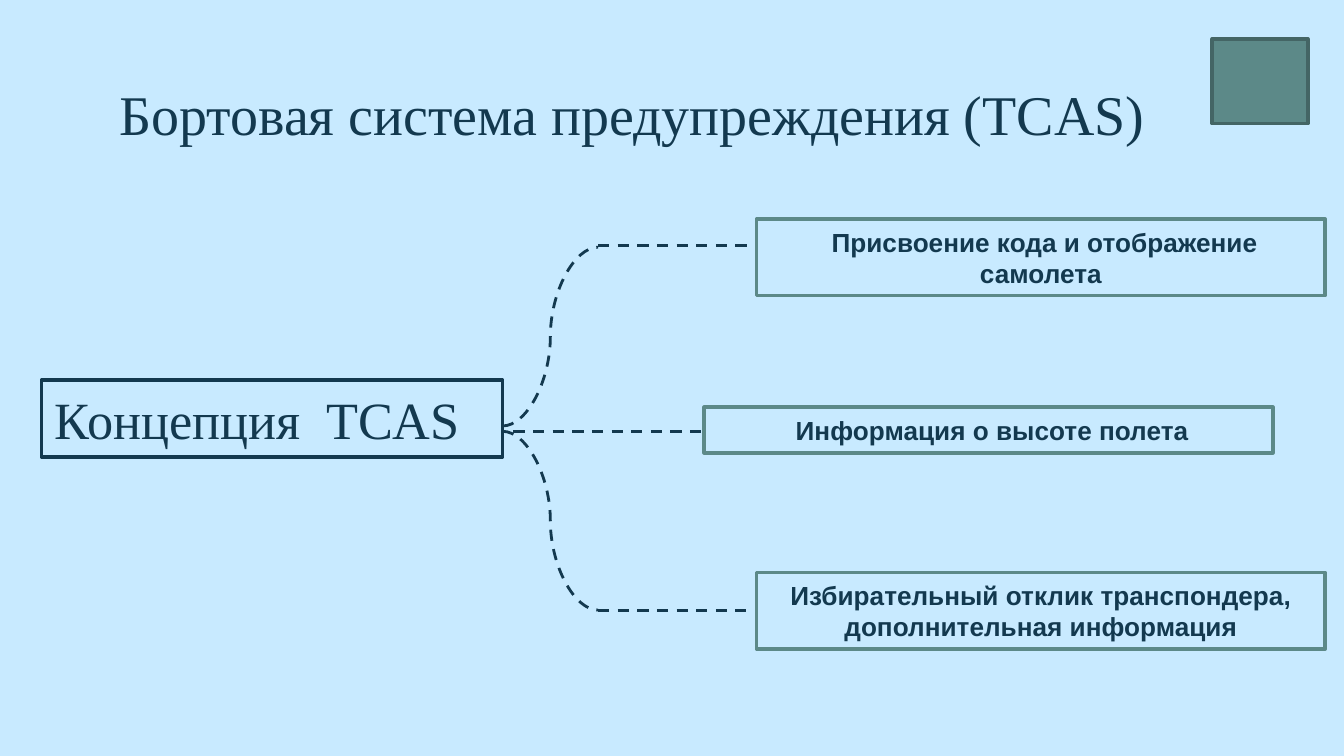
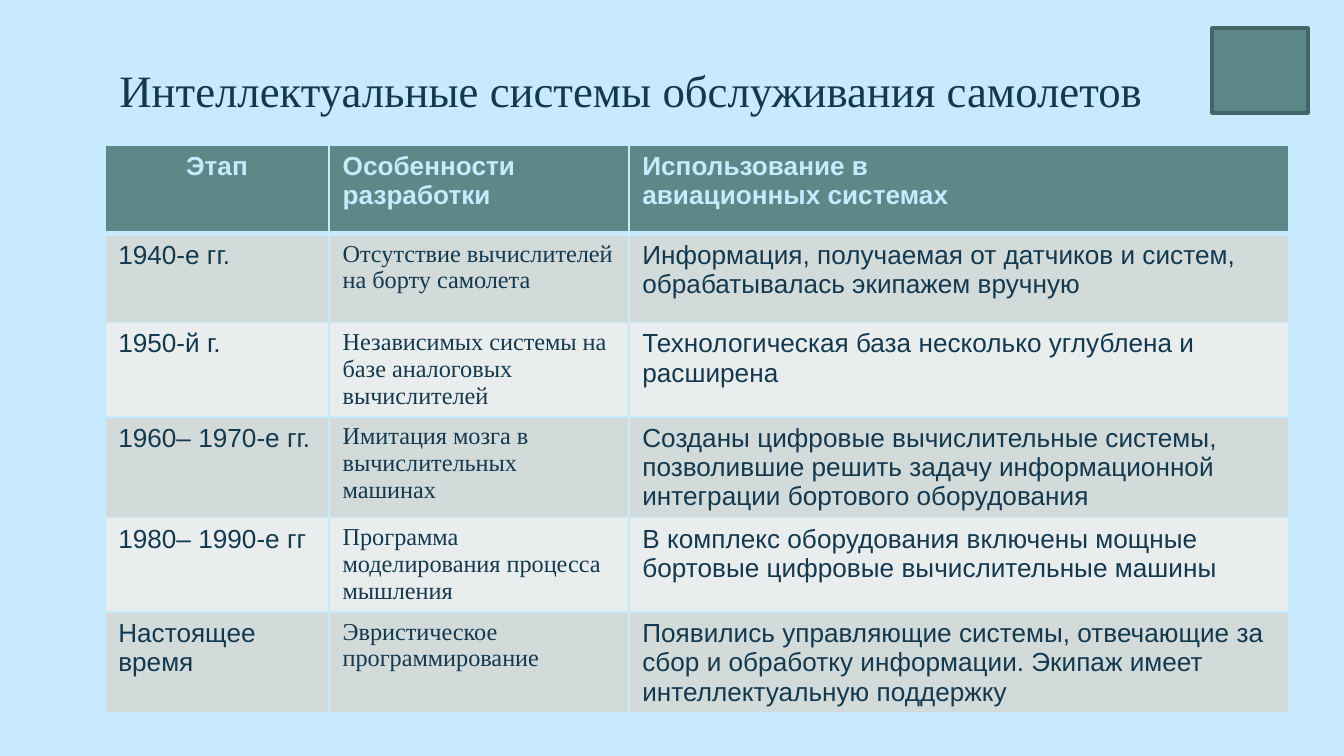
from lxml.etree import SubElement
from pptx import Presentation
from pptx.dml.color import RGBColor
from pptx.enum.dml import MSO_LINE
from pptx.enum.shapes import MSO_CONNECTOR, MSO_SHAPE
from pptx.enum.text import MSO_ANCHOR, PP_ALIGN
from pptx.oxml.ns import qn
from pptx.util import Inches, Pt

SKY = RGBColor(0xC8, 0xEA, 0xFF)
NAVY = RGBColor(0x13, 0x39, 0x4F)
TEAL = RGBColor(0x5C, 0x89, 0x88)
DARK_TEAL = RGBColor(0x44, 0x65, 0x65)
BANDS = [RGBColor(0xD2, 0xDA, 0xDA), RGBColor(0xEA, 0xED, 0xED)]
SERIF, SANS = "Times New Roman", "Arial"

# Slide 1: concept, its three functions and the dashed links
TCAS_TITLE = "Бортовая система предупреждения (TCAS)"
CONCEPT = "Концепция  TCAS"
FUNCTIONS = [  # left, top, height, runs as (text, bold)
    (5.63, 1.63, 0.57, [(" Присвоение кода и отображение самолета", True)]),
    (5.24, 3.03, 0.34, [(" ", False), ("Информация о высоте полета", True)]),
    (5.63, 4.26, 0.57, [("Избирательный отклик транспондера, "
                         "дополнительная информация", True)]),
]
LINKS = [  # from x, from y, to x, to y
    (3.74, 3.17, 4.45, 1.84),
    (3.74, 3.21, 4.45, 4.54),
    (4.45, 1.83, 5.63, 1.83),
    (3.82, 3.21, 5.24, 3.21),
    (4.45, 4.54, 5.55, 4.54),
]

# Slide 2: stages of development
STAGES_TITLE = "Интеллектуальные системы обслуживания самолетов"
HEADINGS = ("Этап", "Особенности разработки", "Использование в\nавиационных системах")
STAGES = [
    ("1940-е гг.", "Отсутствие вычислителей на борту самолета",
     "Информация, получаемая от датчиков и систем, обрабатывалась экипажем вручную"),
    ("1950-й г.", "Независимых системы на базе аналоговых вычислителей",
     "Технологическая база несколько углублена и расширена"),
    ("1960– 1970-е гг.", "Имитация мозга в вычислительных машинах",
     "Созданы цифровые вычислительные системы, позволившие решить задачу "
     "информационной интеграции бортового оборудования"),
    ("1980– 1990-е гг", "Программа моделирования процесса мышления",
     "В комплекс оборудования включены мощные бортовые цифровые вычислительные машины"),
    ("Настоящее время", "Эвристическое программирование",
     "Появились управляющие системы, отвечающие за сбор и обработку информации. "
     "Экипаж имеет интеллектуальную поддержку"),
]
COLUMN_WIDTHS = (1.67, 2.23, 4.91)
COLUMN_FONTS = ((SANS, 14), (SERIF, 13), (SANS, 14))
ROW_HEIGHT = 0.66


def add_run(paragraph, text, font, size, color=NAVY, bold=False):
    run = paragraph.add_run()
    run.text = text
    run.font.name, run.font.size = font, Pt(size)
    run.font.bold, run.font.color.rgb = bold, color


def add_box(slide, preset, place, fill, outline):
    box = slide.shapes.add_shape(preset, *map(Inches, place))
    box.shadow.inherit = False
    box.fill.solid()
    box.fill.fore_color.rgb = fill
    box.line.color.rgb, box.line.width = outline, Pt(2)
    box.text_frame.word_wrap = True
    return box


def start_slide(deck, title, size, title_top):
    slide = deck.slides.add_slide(deck.slide_layouts[6])
    slide.background.fill.solid()
    slide.background.fill.fore_color.rgb = SKY
    frame = slide.shapes.add_textbox(
        Inches(0.79), Inches(title_top), Inches(8.43), Inches(0.63)).text_frame
    frame.word_wrap = True
    frame.vertical_anchor = MSO_ANCHOR.TOP
    frame.margin_left = frame.margin_right = Inches(0.1)
    frame.margin_top = frame.margin_bottom = Inches(0.1)
    add_run(frame.paragraphs[0], title, SERIF, size)
    return slide


def add_button(slide, top):
    add_box(slide, MSO_SHAPE.ACTION_BUTTON_CUSTOM, (9.02, top, 0.71, 0.63), TEAL, DARK_TEAL)


def add_link(slide, ends):
    link = slide.shapes.add_connector(MSO_CONNECTOR.CURVE, *map(Inches, ends))
    link.line.color.rgb, link.line.width = NAVY, Pt(1.5)
    link.line.dash_style = MSO_LINE.DASH
    SubElement(link._element.spPr, qn("a:effectLst"))


def set_borders(cell, top, bottom):
    properties = cell._tc.get_or_add_tcPr()
    for side, width in (("L", 1), ("R", 1), ("T", top), ("B", bottom)):
        edge = SubElement(properties, qn(f"a:ln{side}"), w=str(Pt(width)))
        SubElement(SubElement(edge, qn("a:solidFill")), qn("a:srgbClr"), val=str(SKY))


def build_tcas(deck):
    slide = start_slide(deck, TCAS_TITLE, 30, 0.49)
    for ends in LINKS:
        add_link(slide, ends)

    concept = add_box(slide, MSO_SHAPE.RECTANGLE, (0.31, 2.83, 3.43, 0.57), SKY, NAVY)
    label = concept.text_frame.paragraphs[0]
    label.alignment = PP_ALIGN.LEFT
    add_run(label, CONCEPT, SERIF, 28)

    for left, top, height, runs in FUNCTIONS:
        function = add_box(slide, MSO_SHAPE.RECTANGLE, (left, top, 4.23, height), SKY, TEAL)
        label = function.text_frame.paragraphs[0]
        label.alignment = PP_ALIGN.CENTER
        for text, bold in runs:
            add_run(label, text, SANS, 14, bold=bold)
    add_button(slide, 0.29)


def build_stages(deck):
    slide = start_slide(deck, STAGES_TITLE, 24, 0.37)
    rows = [HEADINGS, *STAGES]
    table = slide.shapes.add_table(
        len(rows), len(HEADINGS), Inches(0.78), Inches(1.08),
        Inches(sum(COLUMN_WIDTHS)), Inches(ROW_HEIGHT * len(rows))).table
    for column, width in zip(table.columns, COLUMN_WIDTHS):
        column.width = Inches(width)

    for r, texts in enumerate(rows):
        header = r == 0
        for c, text in enumerate(texts):
            cell = table.cell(r, c)
            cell.margin_bottom = 0
            set_borders(cell, top=3 if r == 1 else 1, bottom=3 if header else 1)
            cell.fill.solid()
            cell.fill.fore_color.rgb = TEAL if header else BANDS[(r - 1) % 2]
            font, size = (SANS, 14) if header else COLUMN_FONTS[c]
            for i, line in enumerate(text.split("\n")):
                frame = cell.text_frame
                paragraph = frame.add_paragraph() if i else frame.paragraphs[0]
                paragraph.alignment = PP_ALIGN.CENTER if header and c == 0 else PP_ALIGN.LEFT
                add_run(paragraph, line, font, size, SKY if header else NAVY, header)
    add_button(slide, 0.21)


def main():
    deck = Presentation()
    deck.slide_width = Inches(10)
    deck.slide_height = deck.slide_width * 9 // 16
    build_tcas(deck)
    build_stages(deck)
    deck.save("out.pptx")


if __name__ == "__main__":
    main()
